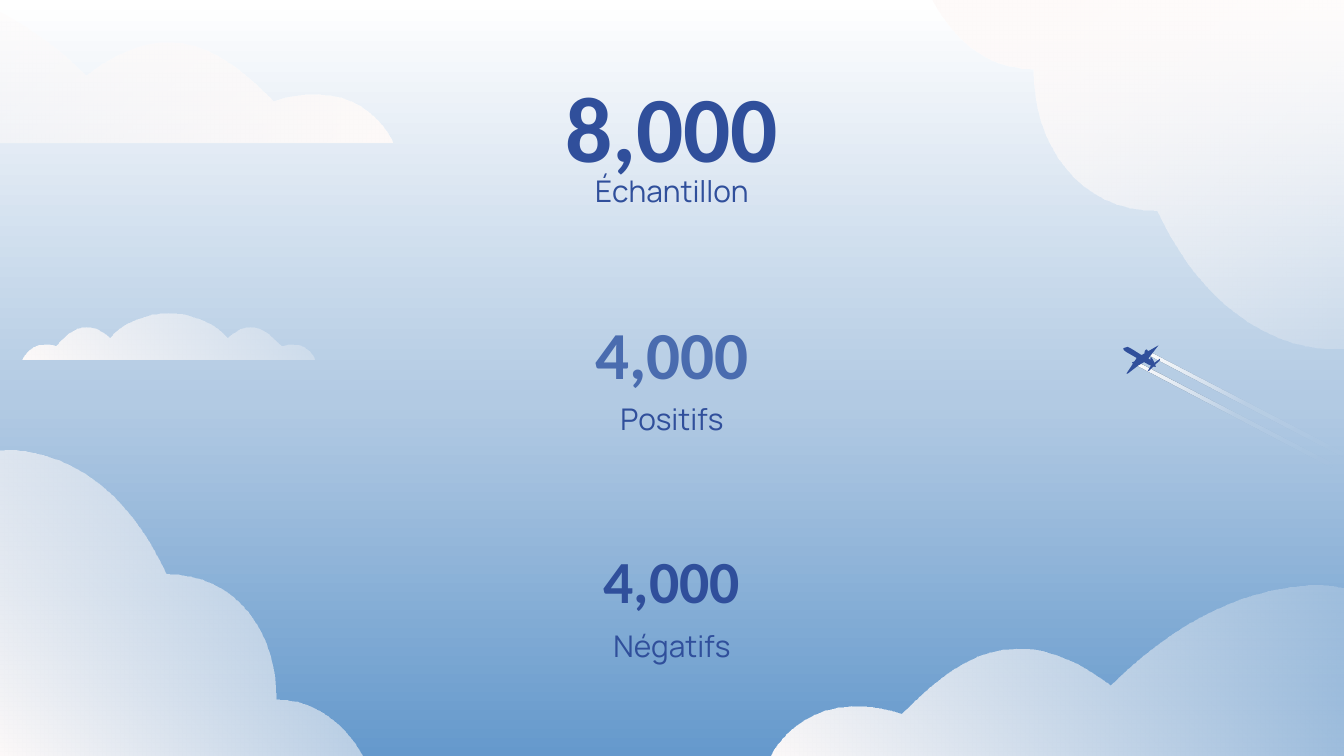
"""Build a sky-themed slide with three key figures, clouds and a plane."""
from lxml.etree import SubElement
from pptx import Presentation
from pptx.dml.color import RGBColor
from pptx.enum.text import MSO_ANCHOR as Anchor, MSO_AUTO_SIZE as AutoSize, PP_ALIGN as Align
from pptx.oxml.ns import qn
from pptx.util import Pt

NAVY, MID_BLUE, CREAM = "304F9B", "4A6CAF", "FEFAF9"
rgb = RGBColor.from_string


def shade(fill, element, stops, angle):
    fill.gradient()
    fill.gradient_angle = (360 - angle) % 360
    stop_list = next(element.iter(qn("a:gsLst")))
    stop_list.clear()
    for position, color, opacity in stops:
        stop = SubElement(stop_list, qn("a:gs"), pos=str(position * 1000))
        shade_color = SubElement(stop, qn("a:srgbClr"), val=color)
        if opacity < 100:
            SubElement(shade_color, qn("a:alpha"), val=str(opacity * 1000))


def write(box, text, *, top, height, size, font, color=NAVY, bold=False):
    box.left, box.top, box.width, box.height = Pt(186.5), Pt(top), Pt(347), Pt(height)
    frame = box.text_frame
    frame.word_wrap = True
    frame.auto_size = AutoSize.NONE
    frame.vertical_anchor = Anchor.MIDDLE
    frame.margin_left = frame.margin_right = Pt(7.2)
    frame.margin_top = frame.margin_bottom = Pt(7.2)
    paragraph = frame.paragraphs[0]
    paragraph.alignment = Align.CENTER
    run = paragraph.add_run()
    run.text = text
    run.font.size, run.font.name, run.font.bold = Pt(size), font, bold
    run.font.color.rgb = rgb(color)


deck = Presentation()
deck.slide_width, deck.slide_height = Pt(720), Pt(405)
slide = deck.slides.add_slide(deck.slide_layouts[5])
sky = [(0, "6599CC", 100), (47, "B2CAE3", 100), (100, "FFFFFF", 100)]
shade(slide.background.fill, slide._element, sky, 270)

mist = [(0, CREAM, 19), (100, CREAM, 100)]
vapour = [(0, "FFFFFF", 100), (50, CREAM, 10), (100, CREAM, 0)]

clouds = [
    (135, [(720, 315.4), (720, 315.4, 663.1, 299.5, 594.7, 367.2),
           (542.9, 328.3, 511.2, 354.2, 483.1, 382.3),
           (428.4, 365, 411.8, 407.5, 411.8, 407.5), (720, 407.5)]),
    (135, [(0, 241.9), (0, 241.9, 54, 233.3, 88.6, 307.4),
           (126.7, 307.4, 147.6, 339.1, 147.6, 374.4),
           (180.7, 374.4, 195.1, 407.5, 195.1, 407.5), (0, 407.5)]),
    (225, [(720, 186.5), (720, 186.5, 658.8, 195.8, 619.9, 113),
           (577.4, 113, 553.7, 77, 553.7, 37.4),
           (516.2, 37.4, 499.7, 0, 499.7, 0), (720, 0)]),
    (45, [(-66.2, -6.5), (-66.2, -6.5, -15.1, -20.2, 46.1, 40.3),
          (92.2, 5, 121, 28.8, 146.2, 54),
          (195.1, 38.2, 210.2, 76.3, 210.2, 76.3), (-66.2, 76.3)]),
    (135, [(90, 167.8), (78.5, 167.8, 66.2, 172.1, 59, 180.7),
           (54, 176.4, 49.7, 175, 46.1, 175), (39.6, 175, 34.6, 180, 30.2, 185),
           (28.1, 184.3, 25.9, 184.3, 23.8, 184.3),
           (15.1, 184.3, 12.2, 192.4, 12.2, 192.4), (168.5, 192.4),
           (168.5, 192.4, 165.6, 184.3, 157, 184.3),
           (154.8, 184.3, 152.6, 184.3, 150.5, 185),
           (145.4, 180, 140.4, 175, 133.9, 175),
           (130.3, 175, 126.7, 176.4, 121.7, 180.7),
           (113.8, 172.1, 102.2, 167.8, 90, 167.8)]),
]
trail = [(718.6, 244.8), (720, 242.6), (615.6, 188.6), (614.2, 190.1)]
trails = [[(x - shift, y + shift) for x, y in trail] for shift in (0, 5.8)]
fuselage = [(604.1, 185.8), (604.1, 185.8, 604.1, 185.8, 604.1, 185.8),
            (604.8, 185.8, 604.8, 185.8, 605.5, 186.5),
            (607, 187.2, 612, 190.8, 614.2, 191.5),
            (615.6, 192.2, 617, 193, 618.5, 194.4), (619.2, 196.6),
            (617.8, 196.6, 614.9, 195.1, 614.9, 195.1),
            (614.9, 195.1, 604.8, 189.4, 603.4, 188.6),
            (601.2, 187.2, 601.9, 186.5, 601.9, 186.5),
            (602.6, 185.8, 603.4, 185.8, 604.1, 185.8)]
near_wing = [(609.1, 191.5), (613.4, 193.7), (609.8, 195.8), (604.1, 200.2),
             (603.4, 200.2), (609.1, 191.5)]
near_engine = [(607.7, 193.7), (607.7, 193.7, 607.7, 193.7, 607.7, 193.7),
               (607.7, 193.7, 608.4, 193.7, 608.4, 194.4),
               (608.4, 195.1, 607.7, 195.1, 607.7, 195.1),
               (607, 195.1, 607, 195.1, 607, 195.1),
               (606.2, 194.4, 606.2, 193.7, 607.7, 193.7)]
near_tail = [(617, 195.1), (618.5, 195.8), (615.6, 198.7), (614.9, 198.7), (617, 195.1)]
far_wing = [(620.6, 185), (620.6, 185), (615.6, 191.5), (614.2, 193.7),
            (610.6, 190.8), (620.6, 185)]
far_engine = [(614.2, 187.2), (614.9, 187.2, 614.9, 187.9, 614.9, 188.6),
              (615.6, 188.6, 614.9, 189.4, 614.2, 189.4),
              (614.2, 189.4, 614.2, 189.4, 613.4, 189.4),
              (613.4, 189.4, 612.7, 188.6, 613.4, 187.9),
              (613.4, 187.9, 614.2, 187.2, 614.2, 187.2)]
far_tail = [(621.4, 192.2), (621.4, 193), (618.5, 195.8), (618.5, 194.4), (621.4, 192.2)]
fin = [(616.3, 191.5), (617, 191.5), (618.5, 194.4), (616.3, 193), (616.3, 191.5)]
near_propeller = [(607.7, 193.7), (609.1, 194.4), (607.7, 194.4), (607.7, 193.7)]
far_propeller = [(614.2, 187.9), (615.6, 187.9), (614.9, 188.6), (614.2, 187.9)]
plane = [fuselage, near_wing, near_engine, near_tail, far_wing, far_engine,
         far_tail, fin, near_propeller, far_propeller]

scenery = [(outline, mist, angle) for angle, outline in clouds]
scenery += [(outline, vapour, 27) for outline in trails]
scenery += [(outline, None, 0) for outline in plane]

for outline, stops, angle in scenery:
    vertices = [(Pt(x), Pt(y)) for segment in outline
                for x, y in zip(segment[::2], segment[1::2])]
    builder = slide.shapes.build_freeform(*vertices[0])
    builder.add_line_segments(vertices[1:], close=True)
    part = builder.convert_to_shape()
    contour = next(part._element.iter(qn("a:path")))
    lines = iter(contour.findall(qn("a:lnTo")))
    for segment in outline[1:]:
        controls = [next(lines) for _ in segment[::2]]
        if len(controls) == 3:
            curve = SubElement(contour, qn("a:cubicBezTo"))
            controls[0].addprevious(curve)
            for control in controls:
                curve.append(control[0])
                contour.remove(control)
    part.shadow.inherit = False
    part.line.fill.background()
    if stops:
        shade(part.fill, part._element, stops, angle)
    else:
        part.fill.solid()
        part.fill.fore_color.rgb = rgb(NAVY)

figures = [
    ("8,000", 50, NAVY, "Échantillon", 43.2),
    ("4,000", 36, MID_BLUE, "Positifs", 165),
    ("4,000", 32, NAVY, "Négatifs", 287),
]
for row, (number, size, color, label, top) in enumerate(figures):
    number_box = slide.shapes.title if row == 0 else slide.shapes.add_textbox(0, 0, 0, 0)
    write(number_box, number, top=top, height=47.5, size=size, font="Calibri",
          color=color, bold=True)
    label_box = slide.shapes.add_textbox(0, 0, 0, 0)
    write(label_box, label, top=top + 47.2, height=23.8, size=16, font="Manrope")

deck.save("out.pptx")
